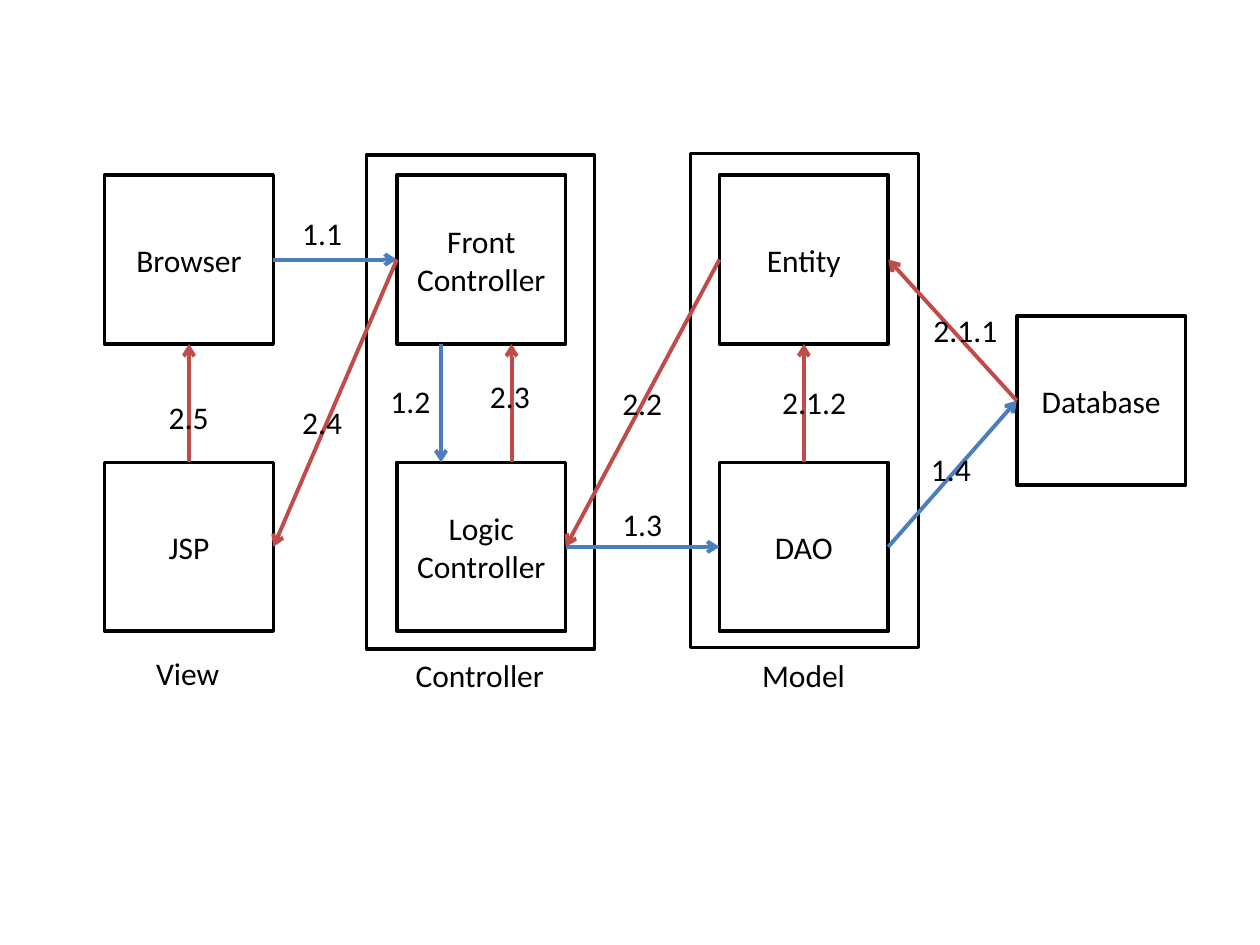
from lxml.etree import SubElement
from pptx import Presentation
from pptx.dml.color import RGBColor
from pptx.enum.shapes import MSO_CONNECTOR, MSO_SHAPE
from pptx.enum.text import MSO_ANCHOR, MSO_AUTO_SIZE, PP_ALIGN
from pptx.oxml.ns import qn
from pptx.util import Inches, Pt


def color(hex_code):
    return RGBColor.from_string(hex_code)


def write(frame, text, align):
    frame.text = text
    for paragraph in frame.paragraphs:
        paragraph.alignment = align
        for run in paragraph.runs:
            run.font.name = "Calibri"
            run.font.size = Pt(18)
            run.font.color.rgb = color(BLACK)


BLACK, WHITE, REQUEST, RESPONSE = "000000", "FFFFFF", "4B7EBC", "BF4C48"
SIDE = 1.34
VIEW, CONTROLLER, MODEL, DATABASE = 0.83, 3.15, 5.71, 8.07
UPPER, LOWER, MIDDLE = 1.39, 3.67, 2.51
HALF = SIDE / 2
UPPER_MID, LOWER_MID, DATABASE_MID = UPPER + HALF, LOWER + HALF, 3.18
UPPER_END = UPPER + SIDE

prs = Presentation()
prs.slide_width = Inches(10)
prs.slide_height = Inches(7.5)
slide = prs.slides.add_slide(prs.slide_layouts[6])

components = [
    ("Browser", VIEW, UPPER, SIDE, SIDE),
    ("JSP", VIEW, LOWER, SIDE, SIDE),
    ("Front\nController", CONTROLLER, UPPER, SIDE, SIDE),
    ("Logic\nController", CONTROLLER, LOWER, SIDE, SIDE),
    ("Entity", MODEL, UPPER, SIDE, SIDE),
    ("DAO", MODEL, LOWER, SIDE, SIDE),
    ("", 2.91, 1.23, 1.81, 3.92),
    ("", 5.48, 1.22, 1.81, 3.92),
    ("Database", DATABASE, MIDDLE, SIDE, SIDE),
]
for name, left, top, width, height in components:
    box = slide.shapes.add_shape(
        MSO_SHAPE.RECTANGLE, Inches(left), Inches(top), Inches(width), Inches(height))
    box.shadow.inherit = False
    box.line.color.rgb = color(BLACK)
    box.line.width = Pt(2)
    if name:
        box.fill.solid()
        box.fill.fore_color.rgb = color(WHITE)
        box.text_frame.vertical_anchor = MSO_ANCHOR.MIDDLE
        write(box.text_frame, name, PP_ALIGN.CENTER)
    else:
        box.fill.background()

steps = [
    (VIEW + SIDE, UPPER_MID, CONTROLLER, UPPER_MID, REQUEST),
    (3.5, UPPER_END, 3.5, LOWER, REQUEST),
    (CONTROLLER + SIDE, LOWER_MID, MODEL, LOWER_MID, REQUEST),
    (MODEL + SIDE, LOWER_MID, DATABASE, DATABASE_MID, REQUEST),
    (DATABASE, DATABASE_MID, MODEL + SIDE, UPPER_MID, RESPONSE),
    (MODEL + HALF, LOWER, MODEL + HALF, UPPER_END, RESPONSE),
    (MODEL, UPPER_MID, CONTROLLER + SIDE, LOWER_MID, RESPONSE),
    (4.06, LOWER, 4.06, UPPER_END, RESPONSE),
    (VIEW + HALF, LOWER, VIEW + HALF, UPPER_END, RESPONSE),
    (CONTROLLER, UPPER_MID, VIEW + SIDE, LOWER_MID, RESPONSE),
]
for x1, y1, x2, y2, direction in steps:
    arrow = slide.shapes.add_connector(
        MSO_CONNECTOR.STRAIGHT, Inches(x1), Inches(y1), Inches(x2), Inches(y2))
    arrow.line.color.rgb = color(direction)
    arrow.line.width = Pt(2.25)
    SubElement(arrow.line._get_or_add_ln(), qn("a:tailEnd"), type="arrow")
    SubElement(arrow._element.spPr, qn("a:effectLst"))

labels = [
    ("View", 1.14, 5.14, 0.71),
    ("Controller", 3.2, 5.16, 1.23),
    ("Model", 5.95, 5.16, 0.87),
    ("1.1", 2.3, 1.65, 0.52),
    ("1.2", 3, 2.98, 0.52),
    ("1.3", 4.84, 3.96, 0.52),
    ("1.4", 7.29, 3.52, 0.52),
    ("2.1.1", 7.31, 2.42, 0.71),
    ("2.1.2", 6.11, 2.99, 0.71),
    ("2.2", 4.84, 3, 0.52),
    ("2.3", 3.79, 2.94, 0.52),
    ("2.4", 2.3, 3.15, 0.52),
    ("2.5", 1.24, 3.11, 0.52),
]
for caption, left, top, width in labels:
    label = slide.shapes.add_textbox(Inches(left), Inches(top), Inches(width), Inches(0.4))
    label.text_frame.word_wrap = False
    label.text_frame.auto_size = MSO_AUTO_SIZE.SHAPE_TO_FIT_TEXT
    write(label.text_frame, caption, PP_ALIGN.LEFT)

prs.save("out.pptx")
